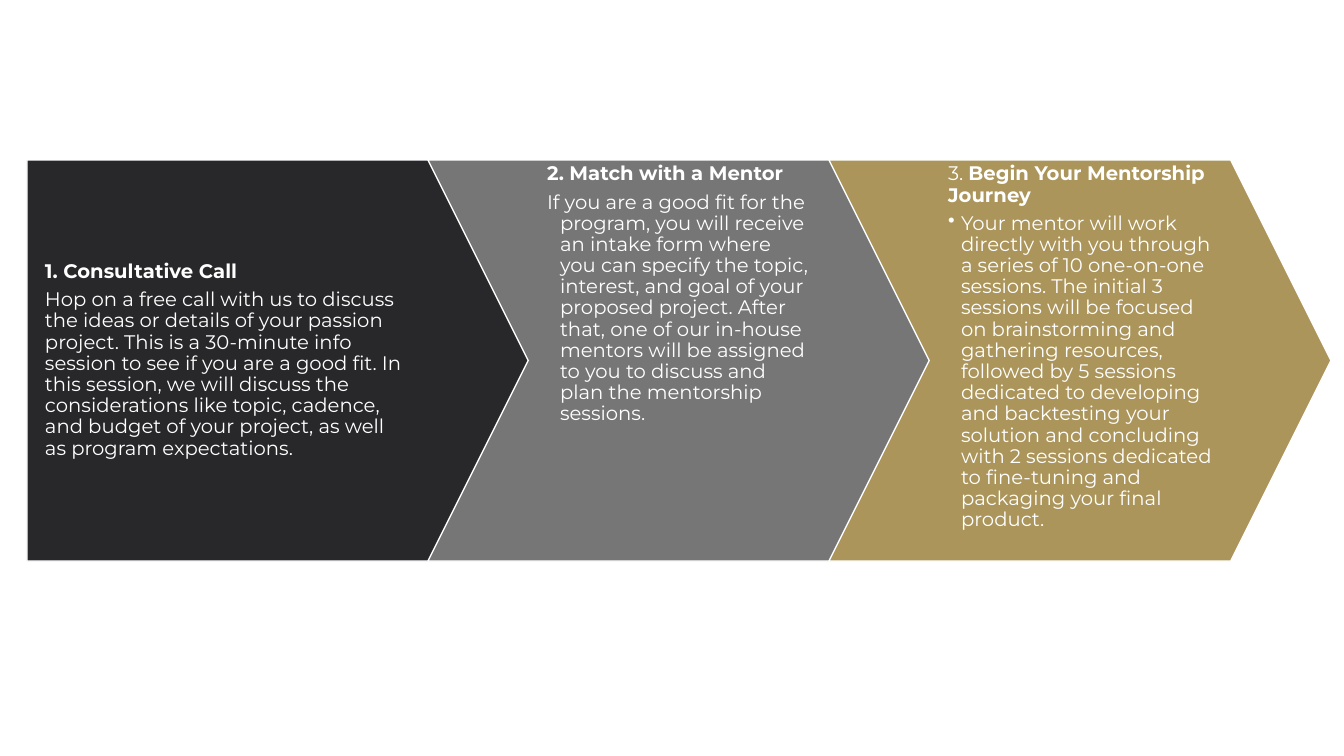
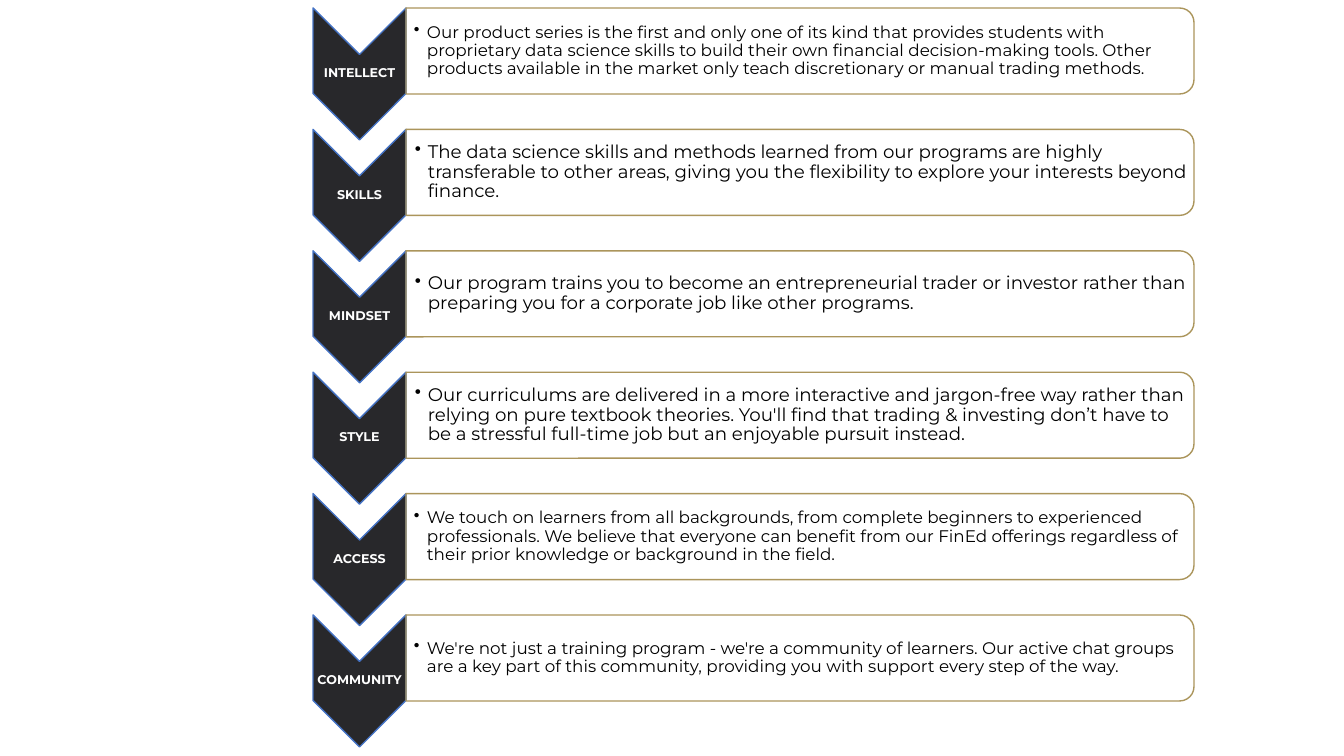
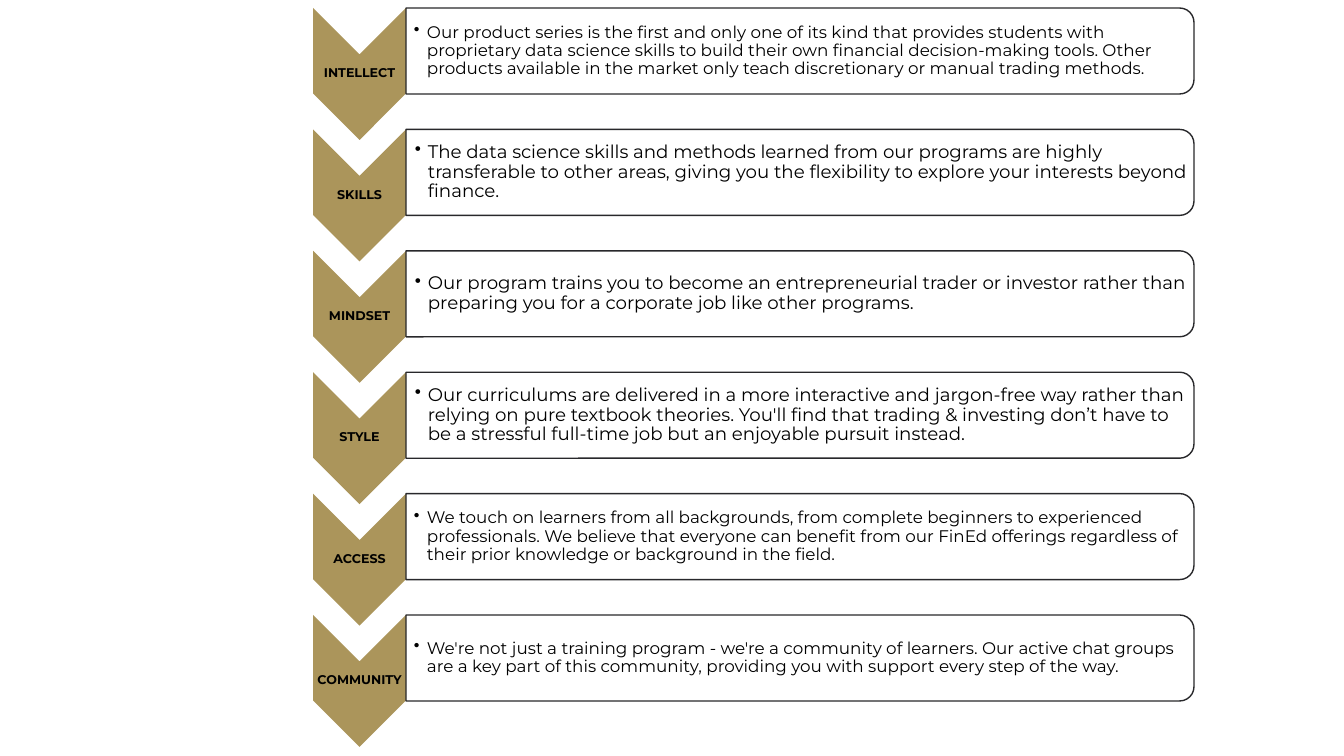
from lxml.etree import SubElement
from pptx import Presentation
from pptx.dml.color import RGBColor
from pptx.enum.shapes import MSO_SHAPE
from pptx.enum.text import MSO_ANCHOR, PP_ALIGN
from pptx.oxml.ns import qn
from pptx.util import Emu, Pt

# Shared look
FONT = "Montserrat"
CHARCOAL, GRAY, GOLD = "28282B", "767676", "AB955B"
BLUE, WHITE, BLACK = "4472C4", "FFFFFF", "000000"
LINE_SPACING = 0.9
HEADING_GAP, DETAIL_GAP = 0.35, 0.15  # space after, as a share of the text size
HANGING_INDENT = 13

# Process arrows
ARROW_LEFT, ARROW_TOP, ARROW_WIDTH, ARROW_HEIGHT = 27, 160, 502, 401
ARROW_STEP, ARROW_NOTCH = 401, 101
STEP_SIZE = 14

# Benefit rows
FIRST_ROW_TOP, LAST_ROW_TOP = 8, 615
LABEL_LEFT, LABEL_WIDTH = 313, 93
CHEVRON_HEIGHT = 132
BOX_LEFT, BOX_WIDTH, BOX_HEIGHT = 406, 788, 86
LABEL_SIZE = 9

BENEFITS = [
    ("INTELLECT", 12,
     "Our product series is the first and only one of its kind that provides students with "
     "proprietary data science skills to build their own financial decision-making tools. "
     "Other products available in the market only teach discretionary or manual trading "
     "methods."),
    ("SKILLS", 13,
     "The data science skills and methods learned from our programs are highly transferable "
     "to other areas, giving you the flexibility to explore your interests beyond finance."),
    ("MINDSET", 13,
     "Our program trains you to become an entrepreneurial trader or investor rather than "
     "preparing you for a corporate job like other programs."),
    ("STYLE", 13,
     "Our curriculums are delivered in a more interactive and jargon-free way rather than "
     "relying on pure textbook theories. You'll find that trading & investing don’t have "
     "to be a stressful full-time job but an enjoyable pursuit instead."),
    ("ACCESS", 12,
     "We touch on learners from all backgrounds, from complete beginners to experienced "
     "professionals. We believe that everyone can benefit from our FinEd offerings "
     "regardless of their prior knowledge or background in the field."),
    ("COMMUNITY", 12,
     "We're not just a training program - we're a community of learners. Our active chat "
     "groups are a key part of this community, providing you with support every step of "
     "the way."),
]

CALL_TEXT = (
    "Hop on a free call with us to discuss the ideas or details of your passion project. "
    "This is a 30-minute info session to see if you are a good fit. In this session, we "
    "will discuss the considerations like topic, cadence, and budget of your project, as "
    "well as program expectations.")
MATCH_TEXT = (
    "If you are a good fit for the program, you will receive an intake form where you can "
    "specify the topic, interest, and goal of your proposed project. After that, one of "
    "our in-house mentors will be assigned to you to discuss and plan the mentorship "
    "sessions.")
JOURNEY_TEXT = (
    "Your mentor will work directly with you through a series of 10 one-on-one sessions. "
    "The initial 3 sessions will be focused on brainstorming and gathering resources, "
    "followed by 5 sessions dedicated to developing and backtesting your solution and "
    "concluding with 2 sessions dedicated to fine-tuning and packaging your final product.")


def px(pixels):
    return Emu(round(pixels * 914400 / 100.8))


def color(hex_string):
    return RGBColor.from_string(hex_string)


# Element helpers
def add_outline_shape(slide, preset, left, top, width, height, fill=None, line=None):
    shape = slide.shapes.add_shape(preset, px(left), px(top), px(width), px(height))
    shape.shadow.inherit = False
    if fill:
        shape.fill.solid()
        shape.fill.fore_color.rgb = color(fill)
    else:
        shape.fill.background()
    if line:
        shape.line.color.rgb = color(line)
        shape.line.width = Pt(1)
    else:
        shape.line.fill.background()
    return shape


def add_turned_shape(slide, preset, left, top, width, height, **style):
    """Add a shape turned a quarter clockwise that covers the given area."""
    shift = (width - height) / 2
    shape = add_outline_shape(slide, preset, left + shift, top - shift, height, width, **style)
    shape.rotation = 90


def add_text_frame(slide, left, top, width, height, margins, anchor=MSO_ANCHOR.MIDDLE):
    frame = slide.shapes.add_textbox(px(left), px(top), px(width), px(height)).text_frame
    frame.word_wrap = True
    frame.vertical_anchor = anchor
    (frame.margin_left, frame.margin_top,
     frame.margin_right, frame.margin_bottom) = map(px, margins)
    return frame


def add_paragraph(frame, text, size, text_color, bold=False, gap=HEADING_GAP,
                  hanging=False, bullet=False, prefix=None):
    first = frame.paragraphs[0]
    paragraph = frame.add_paragraph() if first.runs else first
    paragraph.line_spacing = LINE_SPACING
    paragraph.space_after = Pt(size * gap)
    font = paragraph.font
    font.name, font.size = FONT, Pt(size)
    font.color.rgb = color(text_color)
    if prefix:
        paragraph.add_run().text = prefix
        run = paragraph.add_run()
        run.text = text
        run.font.bold = bold
    else:
        paragraph.add_run().text = text
        font.bold = bold
    if hanging:
        paragraph.level = 1
        set_hanging_indent(paragraph, bullet)
    return paragraph


def set_hanging_indent(paragraph, bullet):
    properties = paragraph._p.get_or_add_pPr()
    properties.set("marL", str(px(HANGING_INDENT)))
    properties.set("indent", str(-px(HANGING_INDENT)))
    if bullet:
        mark = SubElement(properties, qn("a:buChar"), char="•")
        properties.insert_element_before(mark, "a:tabLst", "a:defRPr", "a:extLst")


def add_process_arrow(slide, index, preset, fill):
    left = ARROW_LEFT + index * ARROW_STEP
    arrow = add_outline_shape(slide, preset, left, ARROW_TOP, ARROW_WIDTH, ARROW_HEIGHT,
                              fill=fill, line=WHITE)
    arrow.adjustments[0] = 0.25
    return left


def add_benefit_row(slide, top, benefit, chevron_fill, chevron_line, label_color, box_line):
    label, size, text = benefit
    add_turned_shape(slide, MSO_SHAPE.CHEVRON, LABEL_LEFT, top, LABEL_WIDTH, CHEVRON_HEIGHT,
                     fill=chevron_fill, line=chevron_line)
    frame = add_text_frame(slide, LABEL_LEFT, top + 46, LABEL_WIDTH, 39, (1, 1, 1, 1))
    paragraph = add_paragraph(frame, label, LABEL_SIZE, label_color, bold=True)
    paragraph.alignment = PP_ALIGN.CENTER

    add_turned_shape(slide, MSO_SHAPE.ROUND_2_SAME_RECTANGLE, BOX_LEFT, top, BOX_WIDTH,
                     BOX_HEIGHT, line=box_line)
    frame = add_text_frame(slide, BOX_LEFT - 1, top + 4, BOX_WIDTH - 4, BOX_HEIGHT - 8,
                           (size - 3, 1, 1, 1))
    add_paragraph(frame, text, size, BLACK, gap=DETAIL_GAP, hanging=True, bullet=True)


# Slides
def build_process_slide(slide):
    left = add_process_arrow(slide, 0, MSO_SHAPE.PENTAGON, CHARCOAL)
    frame = add_text_frame(slide, left, ARROW_TOP, 452, ARROW_HEIGHT, (18, 4, 71, 4))
    add_paragraph(frame, "1. Consultative Call", STEP_SIZE, WHITE, bold=True)
    add_paragraph(frame, CALL_TEXT, STEP_SIZE, WHITE)

    chevron_steps = [
        (GRAY, None, "2. Match with a Mentor", MATCH_TEXT, False),
        (GOLD, "3. ", "Begin Your Mentorship Journey", JOURNEY_TEXT, True),
    ]
    for index, (fill, number, heading, detail, bullet) in enumerate(chevron_steps, start=1):
        left = add_process_arrow(slide, index, MSO_SHAPE.CHEVRON, fill)
        frame = add_text_frame(slide, left + ARROW_NOTCH, ARROW_TOP,
                               ARROW_WIDTH - 2 * ARROW_NOTCH + 1, ARROW_HEIGHT,
                               (18, 4, 18, 4), MSO_ANCHOR.TOP)
        add_paragraph(frame, heading, STEP_SIZE, WHITE, bold=True, prefix=number)
        add_paragraph(frame, detail, STEP_SIZE, WHITE, gap=DETAIL_GAP, hanging=True,
                      bullet=bullet)


def build_benefits_slide(slide, **colors):
    pitch = (LAST_ROW_TOP - FIRST_ROW_TOP) / (len(BENEFITS) - 1)
    for row, benefit in enumerate(BENEFITS):
        add_benefit_row(slide, FIRST_ROW_TOP + row * pitch, benefit, **colors)


def main():
    presentation = Presentation()
    presentation.slide_width, presentation.slide_height = px(1344), px(756)
    blank = presentation.slide_layouts[6]
    add_slide = presentation.slides.add_slide

    build_process_slide(add_slide(blank))
    build_benefits_slide(add_slide(blank), chevron_fill=CHARCOAL, chevron_line=BLUE,
                         label_color=WHITE, box_line=GOLD)
    build_benefits_slide(add_slide(blank), chevron_fill=GOLD, chevron_line=None,
                         label_color=BLACK, box_line=CHARCOAL)
    presentation.save("out.pptx")


main()
